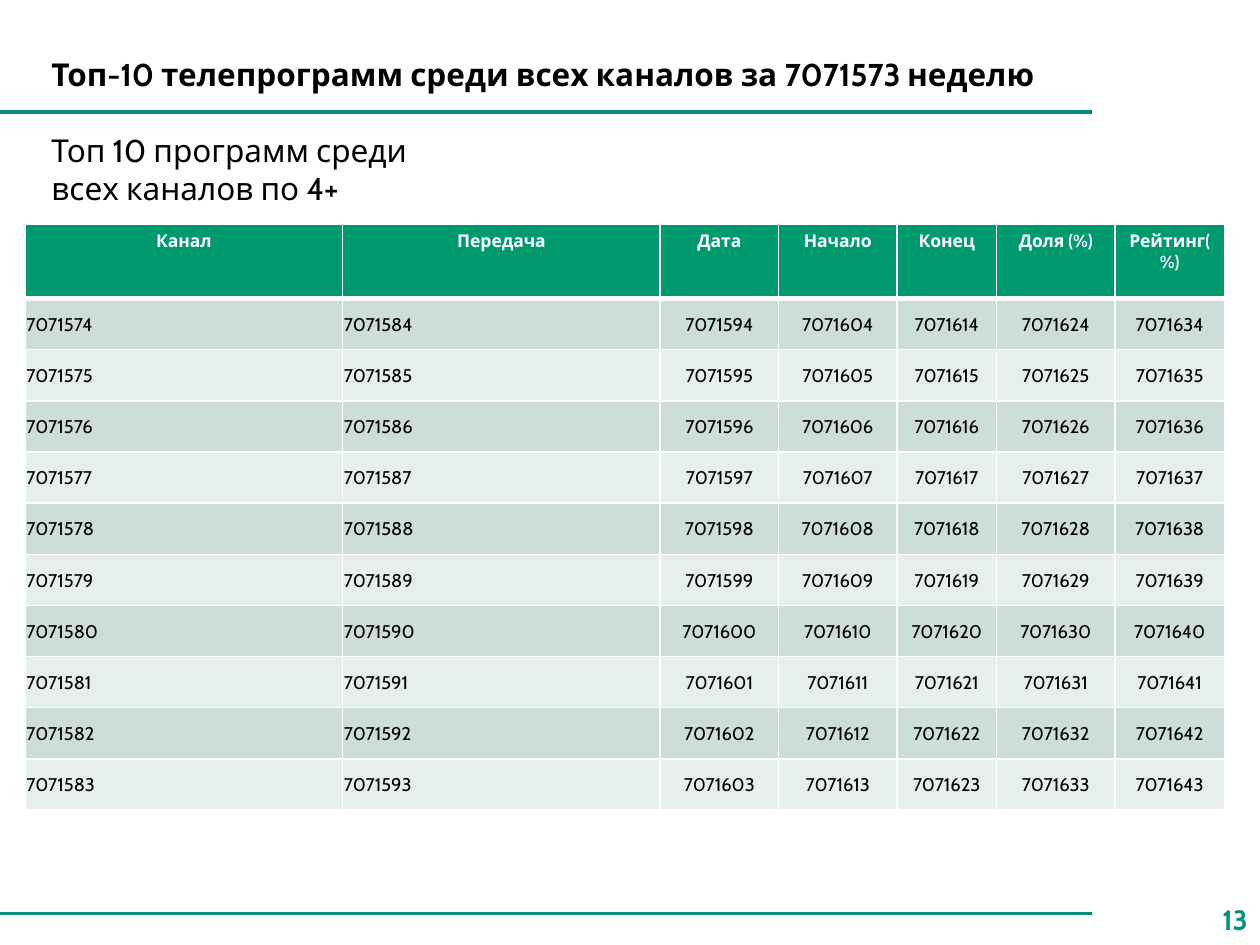
"""Builds a slide with the table of the ten top television programmes."""
from lxml import etree
from pptx import Presentation
from pptx.dml.color import RGBColor
from pptx.enum.shapes import MSO_CONNECTOR
from pptx.enum.text import MSO_ANCHOR, PP_ALIGN
from pptx.oxml.ns import qn
from pptx.util import Inches, Pt

LEFT, CENTER, RIGHT = PP_ALIGN.LEFT, PP_ALIGN.CENTER, PP_ALIGN.RIGHT
TOP, MIDDLE = MSO_ANCHOR.TOP, MSO_ANCHOR.MIDDLE
STRAIGHT = MSO_CONNECTOR.STRAIGHT

TITLE = "Топ-10 телепрограмм среди всех каналов за 7071573 неделю"
SUBTITLE = "Топ 10 программ среди всех каналов по 4+"
PAGE = "13"
COLUMNS = [
    ("Канал", 2.52, LEFT, 7071574),
    ("Передача", 2.52, LEFT, 7071584),
    ("Дата", 0.94, CENTER, 7071594),
    ("Начало", 0.94, CENTER, 7071604),
    ("Конец", 0.79, CENTER, 7071614),
    ("Доля (%)", 0.94, CENTER, 7071624),
    ("Рейтинг(%)", 0.87, CENTER, 7071634),
]
COUNT = 10

FONT = "Cabin"
BLACK = RGBColor(0x00, 0x00, 0x00)
WHITE = RGBColor(0xFF, 0xFF, 0xFF)
RULE = RGBColor(0x00, 0x8F, 0x7D)
PAGE_GREEN = RGBColor(0x00, 0x92, 0x7B)
HEADER = RGBColor(0x00, 0x9A, 0x70)
BANDS = [RGBColor(0xCC, 0xDE, 0xD5), RGBColor(0xE7, 0xEF, 0xEB)]

WIDTH, HEIGHT = 10, 7.5
MARGIN = 0.31
RULE_END, RULE_TOPS = 8.67, (0.89, 7.25)
TABLE_LEFT, TABLE_TOP = 0.2, 1.78
HEADER_H, BODY_H = 0.59, 4.06


def write(tf, text, size=18, color=BLACK, bold=False, align=LEFT):
    """Puts one formatted paragraph into a text frame."""
    tf.word_wrap = True
    p = tf.paragraphs[0]
    p.alignment = align
    r = p.add_run()
    r.text = text
    r.font.name, r.font.size, r.font.bold = FONT, Pt(size), bold
    r.font.color.rgb = color


def add_text(s, text, box, anchor=TOP, **style):
    """Adds a text box at left, top, width, height."""
    tf = s.shapes.add_textbox(*map(Inches, box)).text_frame
    tf.vertical_anchor = anchor
    write(tf, text, **style)


def add_rule(s, top):
    """Adds a horizontal green line from the left edge."""
    line = s.shapes.add_connector(
        STRAIGHT, 0, Inches(top), Inches(RULE_END), Inches(top))
    line.line.color.rgb = RULE
    line.line.width = Pt(2)
    etree.SubElement(line._element.spPr, qn("a:effectLst"))


def set_borders(cell, bottom=1):
    """Draws white borders, with the bottom width in points."""
    tc_pr = cell._tc.get_or_add_tcPr()
    for i, (side, width) in enumerate(zip("LRTB", (1, 1, 1, bottom))):
        ln = etree.Element(qn(f"a:ln{side}"), w=str(Pt(width)))
        fill = etree.SubElement(ln, qn("a:solidFill"))
        etree.SubElement(fill, qn("a:srgbClr"), val=str(WHITE))
        tc_pr.insert(i, ln)


def fill_cell(cell, text, fill, bottom=1, **style):
    """Writes, colours and borders one cell."""
    write(cell.text_frame, text, **style)
    cell.fill.solid()
    cell.fill.fore_color.rgb = fill
    set_borders(cell, bottom)


def add_ratings(s):
    """Adds the table column by column."""
    table = s.shapes.add_table(
        COUNT + 1, len(COLUMNS), Inches(TABLE_LEFT), Inches(TABLE_TOP),
        Inches(sum(col[1] for col in COLUMNS)), Inches(HEADER_H + BODY_H)).table
    for i, row in enumerate(table.rows):
        row.height = Inches(BODY_H / COUNT if i else HEADER_H)
    for c, (head, width, align, first) in enumerate(COLUMNS):
        table.columns[c].width = Inches(width)
        fill_cell(table.cell(0, c), head, HEADER, bottom=3,
                  size=10, color=WHITE, bold=True, align=CENTER)
        for i in range(COUNT):
            cell = table.cell(i + 1, c)
            cell.vertical_anchor = MIDDLE
            cell.margin_left = cell.margin_right = cell.margin_top = Inches(0.01)
            cell.margin_bottom = 0
            fill_cell(cell, str(first + i), BANDS[i % 2],
                      bottom=1, size=10.5, align=align)


def main():
    """Builds and saves the presentation."""
    prs = Presentation()
    prs.slide_width, prs.slide_height = Inches(WIDTH), Inches(HEIGHT)
    s = prs.slides.add_slide(prs.slide_layouts[6])
    for top in RULE_TOPS:
        add_rule(s, top)
    add_text(s, PAGE, (WIDTH - 0.52, HEIGHT - 0.4, 0.52, 0.4), MIDDLE,
             size=16, color=PAGE_GREEN, bold=True, align=RIGHT)
    add_text(s, TITLE, (MARGIN, 0.39, 8.52, 0.4), MIDDLE, bold=True)
    add_text(s, SUBTITLE, (MARGIN, 0.99, 3.15, 0.71))
    add_ratings(s)
    prs.save("out.pptx")


if __name__ == "__main__":
    main()
